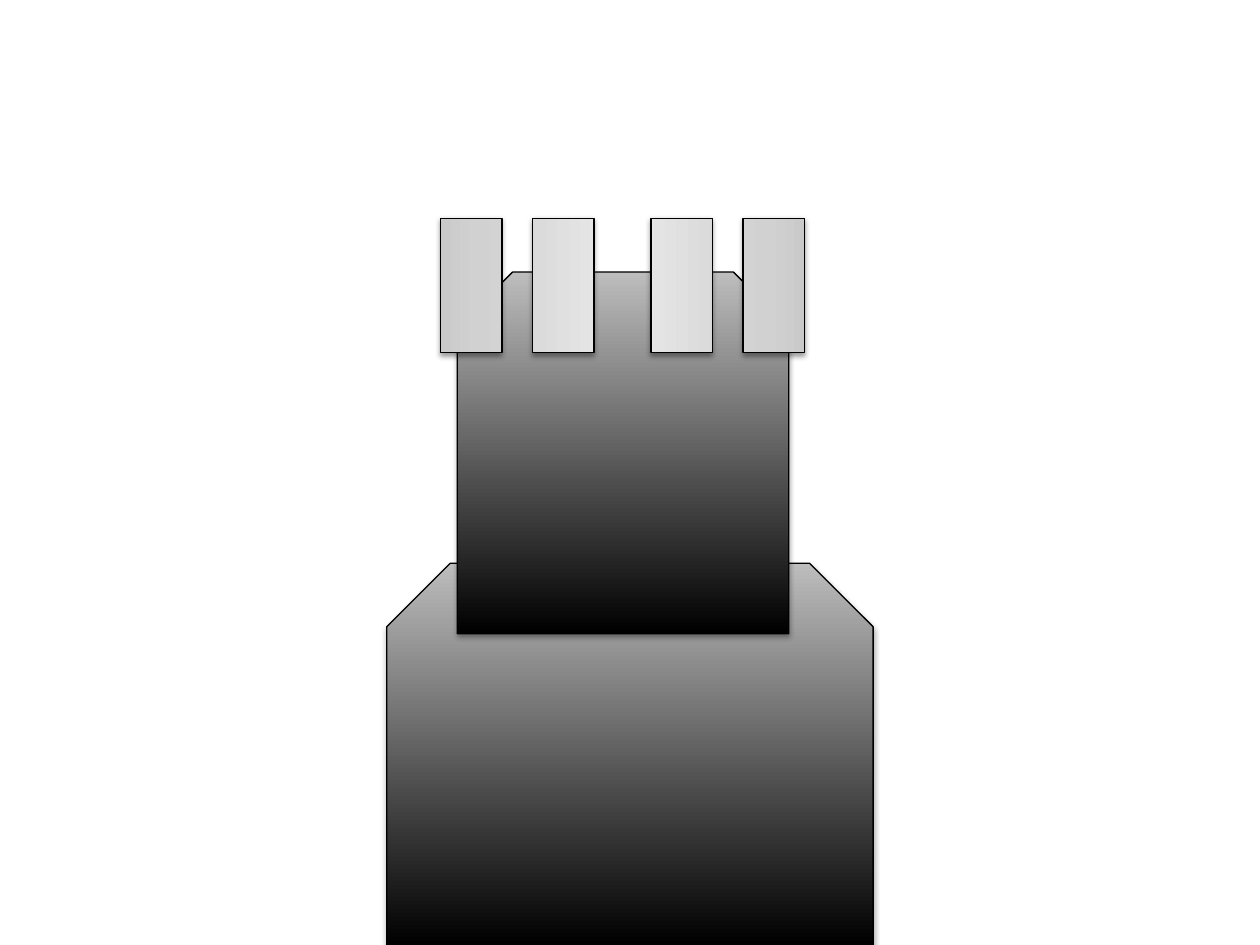
from dataclasses import dataclass

from lxml import etree
from pptx import Presentation
from pptx.dml.color import RGBColor
from pptx.enum.shapes import MSO_SHAPE
from pptx.oxml.ns import qn
from pptx.util import Inches, Pt

SNIPPED = MSO_SHAPE.SNIP_2_SAME_RECTANGLE
EQUAL_SIGN = MSO_SHAPE.MATH_EQUAL


@dataclass(frozen=True)
class Theme:
    line: str = "000000"
    line_width: float = 0.75
    # Gradient stops run from bottom to top: (percent, colour)
    wall: tuple = ((0, "000000"), (100, "BDBDBD"))
    stone: tuple = ((0, "BDBDBD"), (35, "D1D1D1"), (100, "EEEEEE"))
    # Shadow: opacity in percent, then distance in points
    wall_shadow: tuple = (35, 1.8)
    stone_shadow: tuple = (38, 1.6)
    shadow_blur: float = 3.1


THEME = Theme()


def add_color(parent, color):
    return etree.SubElement(parent, qn("a:srgbClr"), val=color)


def set_gradient(sp, stops):
    sp.fill.gradient()
    sp.fill.gradient_angle = 90
    stop_list = sp._element.spPr.find(f".//{qn('a:gsLst')}")
    for stop in list(stop_list):
        stop_list.remove(stop)
    for percent, color in stops:
        add_color(etree.SubElement(stop_list, qn("a:gs"), pos=str(percent * 1000)), color)


def set_shadow(sp, opacity, distance):
    sp.shadow.inherit = False
    effects = sp._element.spPr.find(qn("a:effectLst"))
    shadow = etree.SubElement(
        effects, qn("a:outerShdw"),
        blurRad=str(Pt(THEME.shadow_blur)), dist=str(Pt(distance)),
        dir="5400000", rotWithShape="0")
    color = add_color(shadow, THEME.line)
    etree.SubElement(color, qn("a:alpha"), val=str(opacity * 1000))


def add_block(slide, kind, box, stops, shadow, rotation=0):
    sp = slide.shapes.add_shape(kind, *(Inches(v) for v in box))
    sp.rotation = rotation
    set_gradient(sp, stops)
    sp.line.color.rgb = RGBColor.from_string(THEME.line)
    sp.line.width = Pt(THEME.line_width)
    set_shadow(sp, *shadow)


def add_wall(slide, box):
    add_block(slide, SNIPPED, box, THEME.wall, THEME.wall_shadow)


def add_battlements(slide, box):
    """Two upright pairs of stones, mirrored about the centre of the box."""
    left, top, width, height = box
    pair_w, pair_h = 1.45, 2.07
    for x, rotation in ((left, 90), (left + width - pair_w, 270)):
        frame = (x, top + (height - pair_h) / 2, pair_w, pair_h)
        add_block(slide, EQUAL_SIGN, frame, THEME.stone, THEME.stone_shadow, rotation)


def main():
    prs = Presentation()
    prs.slide_width, prs.slide_height = Inches(10), Inches(7.5)
    slide = prs.slides.add_slide(prs.slide_layouts[6])

    # Base and tower
    add_wall(slide, (3.07, 4.47, 3.86, 3.03))
    add_wall(slide, (3.63, 2.16, 2.63, 2.87))

    # Battlements
    add_battlements(slide, (3.38, 1.23, 3.12, 2.07))

    prs.save("out.pptx")


if __name__ == "__main__":
    main()
